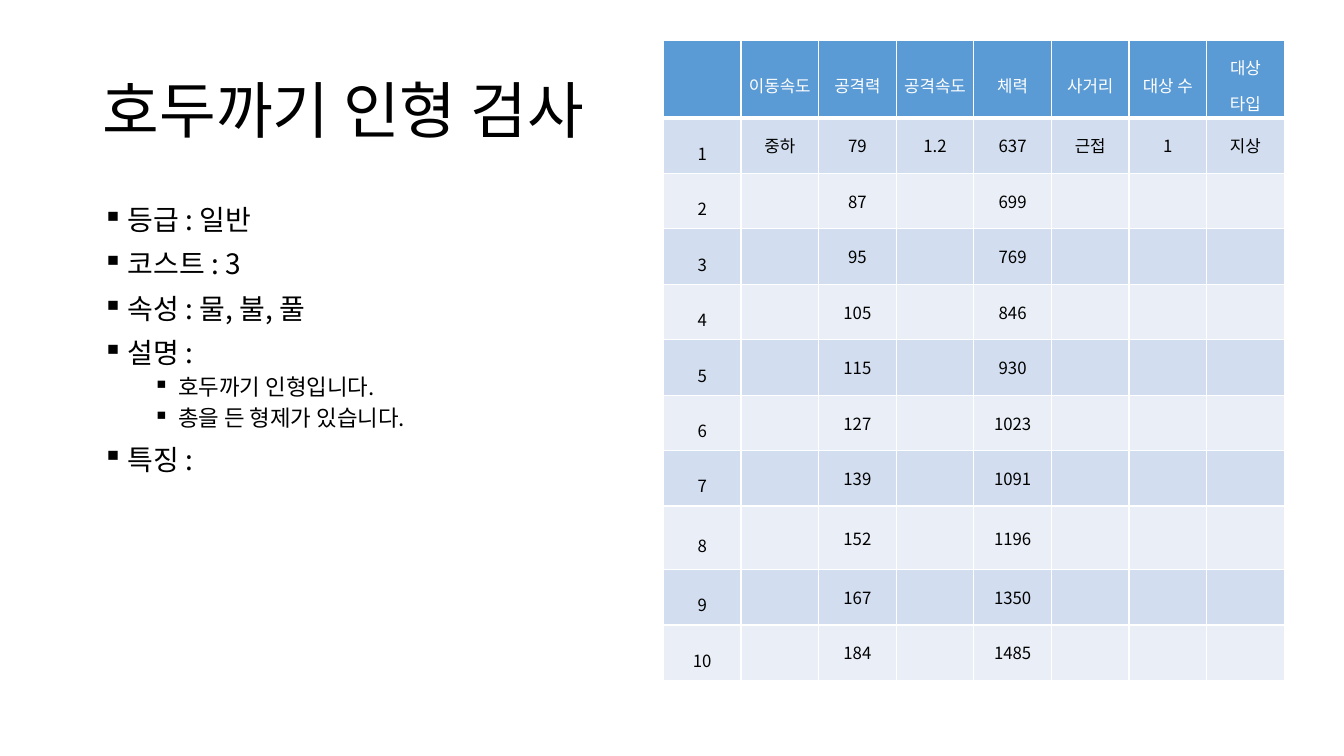
from lxml import etree
from pptx import Presentation
from pptx import util as u
from pptx.dml.color import RGBColor
from pptx.enum import text
from pptx.oxml.ns import qn

FONT = "Noto Sans CJK KR"


def paint(hue):
    return RGBColor.from_string(hue)


def style(para, size, hue):
    for run in para.runs:
        run.font.size = u.Pt(size)
        run.font.bold = False
        run.font.name = FONT
        run.font.color.rgb = paint(hue)
        east = etree.SubElement(run._r.get_or_add_rPr(), qn("a:ea"))
        east.set("typeface", FONT)


deck = Presentation()
deck.slide_width = u.Inches(13.33)
deck.slide_height = u.Inches(7.5)
slide = deck.slides.add_slide(deck.slide_layouts[6])

# Title
title = slide.shapes.add_textbox(
    u.Inches(0.92), u.Inches(0.4), u.Inches(11.5), u.Inches(1.45))
frame = title.text_frame
frame.word_wrap = True
frame.vertical_anchor = text.MSO_ANCHOR.MIDDLE
frame.text = "호두까기 인형 검사"
frame.paragraphs[0].line_spacing = 0.9
style(frame.paragraphs[0], 44, "000000")

# Bullet list
items = [
    (0, "등급 : 일반"),
    (0, "코스트 : 3"),
    (0, "속성 : 물, 불, 풀"),
    (0, "설명 :"),
    (1, "호두까기 인형입니다."),
    (1, "총을 든 형제가 있습니다."),
    (0, "특징 :"),
]
body = slide.shapes.add_textbox(
    u.Inches(0.92), u.Inches(2), u.Inches(5.67), u.Inches(4.76))
frame = body.text_frame
frame.word_wrap = True
frame.text = "\n".join(line for _, line in items)
for para, (level, _) in zip(frame.paragraphs, items):
    para.level = level
    para.line_spacing = 0.9
    para.space_before = u.Pt(5 if level else 10)
    props = para._p.get_or_add_pPr()
    props.set("marL", str(u.Inches(0.25 + 0.5 * level)))
    props.set("indent", str(u.Inches(-0.25)))
    etree.SubElement(props, qn("a:buChar")).set("char", "▪")
    style(para, 16 if level else 20, "000000")

# Table values
heads = ["", "이동속도", "공격력", "공격속도", "체력", "사거리", "대상 수", "대상 타입"]
power = [79, 87, 95, 105, 115, 127, 139, 152, 167, 184]
health = [637, 699, 769, 846, 930, 1023, 1091, 1196, 1350, 1485]
rows = [heads]
for rank, (hit, life) in enumerate(zip(power, health), 1):
    rows.append([rank, "", hit, "", life, "", "", ""])
rows[1] = [1, "중하", 79, "1.2", 637, "근접", 1, "지상"]

# Table grid
grid = slide.shapes.add_table(
    len(rows), len(heads),
    u.Inches(6.58), u.Inches(0.4), u.Inches(6.16), u.Inches(6.36)).table
for col in grid.columns:
    col.width = u.Inches(0.77)
for row in grid.rows:
    row.height = u.Inches(0.55)
grid.rows[0].height = u.Inches(0.77)
grid.rows[8].height = u.Inches(0.63)

# Table cells
for r, row in enumerate(rows):
    for c, value in enumerate(row):
        cell = grid.cell(r, c)
        props = cell._tc.get_or_add_tcPr()
        for side in ("L", "R", "T", "B"):
            thick = (r, side) in ((0, "B"), (1, "T"))
            edge = etree.SubElement(props, qn("a:ln" + side))
            edge.set("w", str(u.Pt(3 if thick else 1)))
            fill = etree.SubElement(edge, qn("a:solidFill"))
            etree.SubElement(fill, qn("a:srgbClr")).set("val", "FFFFFF")
        cell.fill.solid()
        band = "D2DEEF" if r % 2 else "EAEFF7"
        cell.fill.fore_color.rgb = paint(band if r else "5B9BD5")
        if value == "":
            continue
        tight = r == 0 or c == 0
        cell.vertical_anchor = text.MSO_ANCHOR.MIDDLE
        cell.margin_left = cell.margin_right = u.Inches(0.07 if tight else 0.09)
        cell.margin_top = cell.margin_bottom = u.Inches(0.02 if tight else 0.05)
        cell.text_frame.text = str(value)
        para = cell.text_frame.paragraphs[0]
        para.alignment = text.PP_ALIGN.CENTER
        if tight:
            para.line_spacing = 1.6 if r else 1.5
        style(para, 12, "000000" if r else "FFFFFF")

deck.save("out.pptx")
